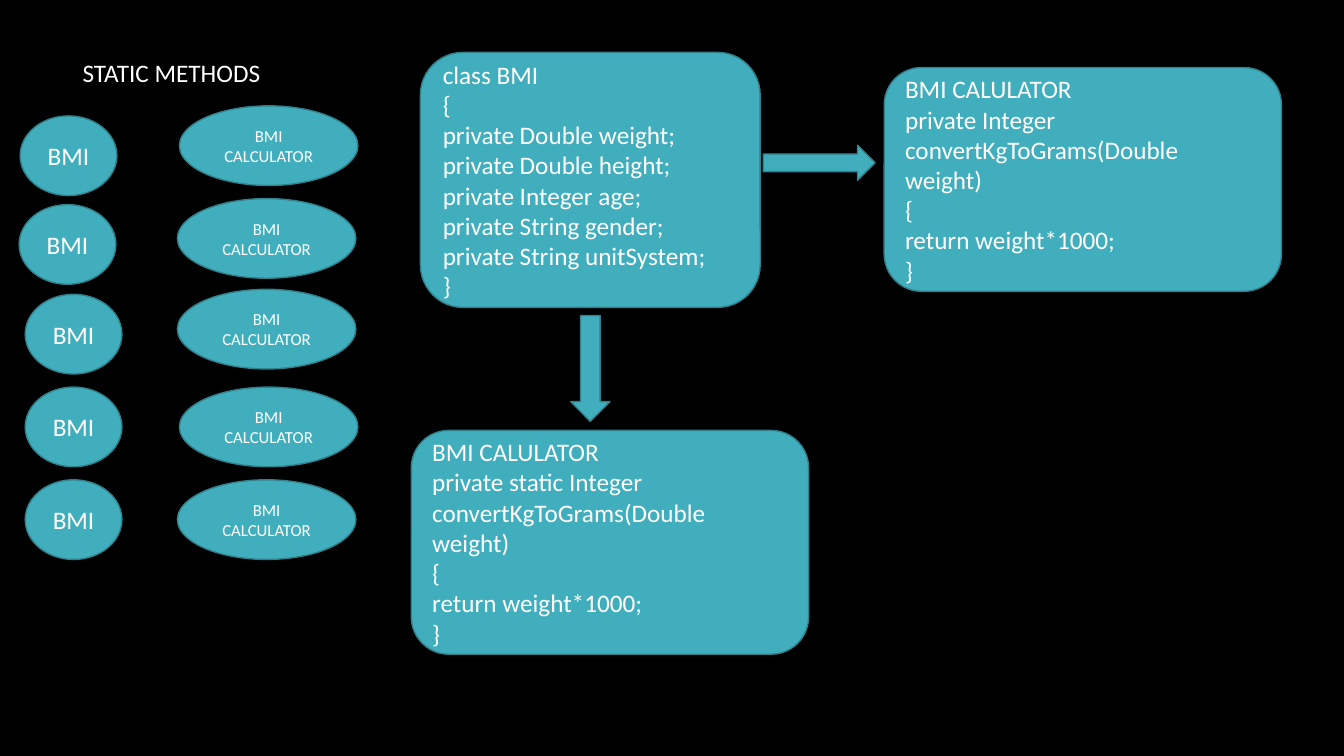
from pptx import Presentation, util as u
from pptx.dml import color
from pptx.enum import shapes, text

BLACK, WHITE, TEAL, DARK_TEAL = "000000", "FFFFFF", "41AEBD", "30818C"
KIND = shapes.MSO_SHAPE

heading = ("STATIC METHODS", (0.72, 0.52, 3.71, 0.4))


def calculator(signature):
    return ["BMI CALULATOR", f"{signature} convertKgToGrams(Double weight)",
            "{", "return weight*1000;", "}"]


bmi_class = ["class BMI", "{", "private Double weight;", "private Double height;",
             "private Integer age;", "private String gender;",
             "private String unitSystem;", "}"]
code_boxes = [
    (bmi_class, (4.17, 0.52, 3.37, 2.53)),
    (calculator("private Integer"), (8.77, 0.67, 3.94, 2.22)),
    (calculator("private static Integer"), (4.08, 4.27, 3.94, 2.22)),
]
arrows = [
    (KIND.RIGHT_ARROW, (7.57, 1.44, 1.11, 0.35)),
    (KIND.DOWN_ARROW, (5.66, 3.13, 0.39, 1.05)),
]
oval_height = 0.79
oval_columns = [
    ("BMI", 18, 0.96,
     [(0.2, 1.15), (0.19, 2.03), (0.25, 2.92), (0.25, 3.84), (0.25, 4.76)]),
    ("BMI CALCULATOR", 12, 1.77,
     [(1.78, 1.05), (1.76, 1.97), (1.76, 2.87), (1.78, 3.84), (1.76, 4.76)]),
]


def rgb(value):
    return color.RGBColor.from_string(value)


def apply(target, values):
    for name, value in values.items():
        setattr(target, name, value)


def write(frame, lines, size, align, anchor):
    apply(frame, {"word_wrap": True, "vertical_anchor": anchor})
    for index, line in enumerate(lines):
        paragraph = frame.paragraphs[0] if index == 0 else frame.add_paragraph()
        paragraph.alignment = align
        run = paragraph.add_run()
        run.text = line
        apply(run.font, {"name": "Calibri", "size": u.Pt(size)})
        run.font.color.rgb = rgb(WHITE)


def add_teal(slide, kind, place):
    part = slide.shapes.add_shape(kind, *map(u.Inches, place))
    part.shadow.inherit = False
    part.fill.solid()
    part.fill.fore_color.rgb = rgb(TEAL)
    part.line.color.rgb = rgb(DARK_TEAL)
    part.line.width = u.Pt(1)
    return part


def main():
    deck = Presentation()
    apply(deck, {"slide_width": u.Inches(13.33), "slide_height": u.Inches(7.5)})
    slide = deck.slides.add_slide(deck.slide_layouts[6])
    slide.background.fill.solid()
    slide.background.fill.fore_color.rgb = rgb(BLACK)
    left, center = text.PP_ALIGN.LEFT, text.PP_ALIGN.CENTER
    top, middle = text.MSO_ANCHOR.TOP, text.MSO_ANCHOR.MIDDLE

    title, place = heading
    title_box = slide.shapes.add_textbox(*map(u.Inches, place))
    write(title_box.text_frame, [title], 18, left, top)

    for lines, place in code_boxes:
        code_box = add_teal(slide, KIND.ROUNDED_RECTANGLE, place)
        write(code_box.text_frame, lines, 18, left, middle)

    for kind, place in arrows:
        add_teal(slide, kind, place)

    for label, size, width, corners in oval_columns:
        for x, y in corners:
            oval = add_teal(slide, KIND.OVAL, (x, y, width, oval_height))
            write(oval.text_frame, [label], size, center, middle)

    deck.save("out.pptx")


if __name__ == "__main__":
    main()
